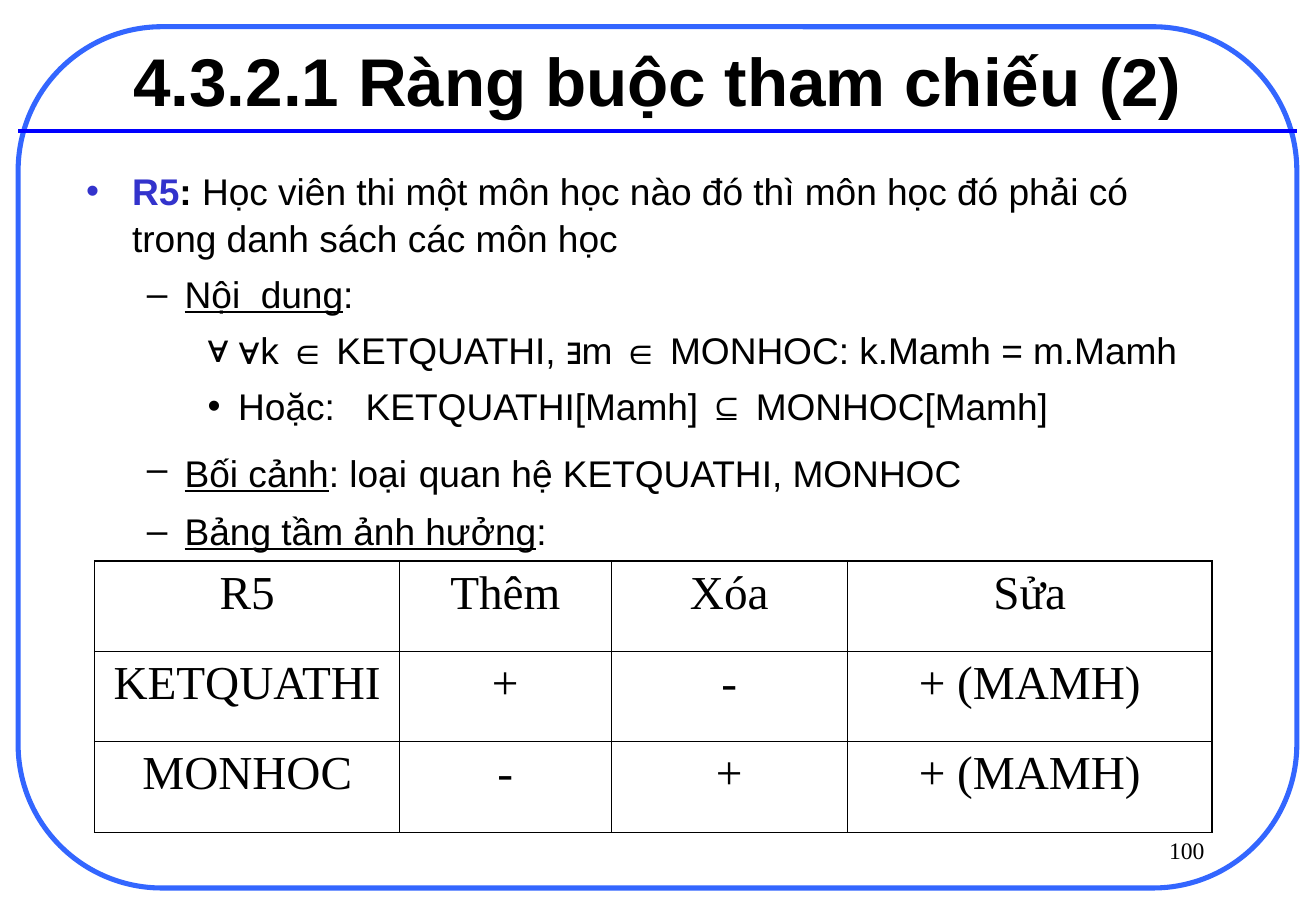
from dataclasses import dataclass

from lxml import etree
from pptx import Presentation
from pptx.dml.color import RGBColor
from pptx.enum.shapes import MSO_CONNECTOR, MSO_SHAPE
from pptx.enum.text import MSO_ANCHOR, MSO_AUTO_SIZE, PP_ALIGN
from pptx.oxml.ns import qn
from pptx.util import Cm, Pt

CENTER, RIGHT, LEFT = PP_ALIGN.CENTER, PP_ALIGN.RIGHT, PP_ALIGN.LEFT
TOP, MIDDLE = MSO_ANCHOR.TOP, MSO_ANCHOR.MIDDLE
NO_AUTOFIT = MSO_AUTO_SIZE.NONE
ROUNDED, STRAIGHT = MSO_SHAPE.ROUNDED_RECTANGLE, MSO_CONNECTOR.STRAIGHT


@dataclass(frozen=True)
class Theme:
    ink: str = "000000"
    accent: str = "3333CC"
    frame: str = "3366FF"
    rule: str = "0000FF"
    sans: str = "Arial"
    serif: str = "Times New Roman"
    title_size: float = 40
    body_size: float = 22
    table_size: float = 28
    number_size: float = 14
    outer_border: float = 1.08
    inner_border: float = 0.45


THEME = Theme()


@dataclass(frozen=True)
class Run:
    text: str
    bold: bool = False
    underline: bool = False
    color: str = THEME.ink
    font: str = THEME.sans
    size: float = THEME.body_size


@dataclass(frozen=True)
class Item:
    level: int
    bullet: str
    runs: tuple[Run, ...]
    bullet_color: str = THEME.ink


# Left margin and hanging indent of each list level, in centimetres
INDENTS = ((0.96, 0.96), (2.06, 0.79), (3.18, 0.64))

ITEMS = (
    Item(0, "•", (
        Run("R5", bold=True, color=THEME.accent),
        Run(": ", bold=True),
        Run("Học viên thi một môn học nào đó thì môn học đó phải có trong danh sách các môn học"),
    ), THEME.accent),
    Item(1, "–", (Run("Nội  dung", underline=True), Run(":"))),
    Item(2, "∀", (Run("∀k ∈ KETQUATHI, ∃m ∈ MONHOC: k.Mamh = m.Mamh"),)),
    Item(2, "•", (Run("Hoặc:   KETQUATHI[Mamh] ⊆ MONHOC[Mamh]"),)),
    Item(1, "–", (
        Run("Bối cảnh", underline=True),
        Run(": loại"),
        Run(" ", font=THEME.serif, size=THEME.table_size),
        Run("quan hệ KETQUATHI, MONHOC"),
    )),
    Item(1, "–", (Run("Bảng tầm ảnh hưởng", underline=True), Run(":"))),
)

COLUMN_WIDTHS = (6.38, 4.42, 4.95, 7.62)
ROW_HEIGHTS = (1.88, 1.9, 1.9)
EFFECTS = (
    ("R5", "Thêm", "Xóa", "Sửa"),
    ("KETQUATHI", "+", "-", "+ (MAMH)"),
    ("MONHOC", "-", "+", "+ (MAMH)"),
)


def write_text(paragraph, text: str, *, size: float, font: str, color: str = THEME.ink,
               bold: bool = False, underline: bool = False, align=None) -> None:
    run = paragraph.add_run()
    run.text = text
    run.font.size = Pt(size)
    run.font.name = font
    run.font.bold = bold
    run.font.underline = underline
    run.font.color.rgb = RGBColor.from_string(color)
    if align is not None:
        paragraph.alignment = align


def place(shape, left: float, top: float, width: float, height: float) -> None:
    shape.left, shape.top = Cm(left), Cm(top)
    shape.width, shape.height = Cm(width), Cm(height)


def prepare_frame(shape, anchor):
    frame = shape.text_frame
    frame.word_wrap = True
    frame.auto_size = NO_AUTOFIT
    frame.vertical_anchor = anchor
    return frame


def set_line(line, color: str, width: float) -> None:
    line.color.rgb = RGBColor.from_string(color)
    line.width = Pt(width)


def add_backdrop(slide) -> None:
    """Draw the rounded frame and title rule behind the placeholders."""
    frame = slide.shapes.add_shape(ROUNDED, Cm(0.38), Cm(0.56), Cm(26.75), Cm(18.01))
    frame.adjustments[0] = 0.167
    frame.shadow.inherit = False
    frame.fill.background()
    set_line(frame.line, THEME.frame, 3)

    rule = slide.shapes.add_connector(STRAIGHT, Cm(0.38), Cm(2.74), Cm(27.13), Cm(2.74))
    set_line(rule.line, THEME.rule, 2.25)
    etree.SubElement(rule._element.spPr, qn("a:effectLst"))

    tree = slide.shapes._spTree
    for position, shape in enumerate((frame, rule), start=2):
        tree.insert(position, shape._element)


def set_bullet(paragraph, item: Item) -> None:
    margin, hanging = INDENTS[item.level]
    properties = paragraph._p.get_or_add_pPr()
    properties.set("marL", str(Cm(margin)))
    properties.set("indent", str(-Cm(hanging)))
    color = etree.SubElement(properties, qn("a:buClr"))
    etree.SubElement(color, qn("a:srgbClr"), val=item.bullet_color)
    etree.SubElement(properties, qn("a:buFont"), typeface=THEME.sans)
    etree.SubElement(properties, qn("a:buChar"), char=item.bullet)


def fill_body(body) -> None:
    frame = prepare_frame(body, TOP)
    for index, item in enumerate(ITEMS):
        paragraph = frame.add_paragraph() if index else frame.paragraphs[0]
        paragraph.level = item.level
        set_bullet(paragraph, item)
        paragraph.alignment = LEFT
        paragraph.line_spacing = 1.05
        paragraph.space_before = Pt(5.5 if index else 0)
        for run in item.runs:
            write_text(paragraph, run.text, size=run.size, font=run.font, color=run.color,
                       bold=run.bold, underline=run.underline)


def set_borders(cell, outer_sides: dict[str, bool]) -> None:
    properties = cell._tc.get_or_add_tcPr()
    for side, is_outer in outer_sides.items():
        width = THEME.outer_border if is_outer else THEME.inner_border
        border = etree.SubElement(properties, qn(f"a:ln{side}"), w=str(Pt(width)))
        fill = etree.SubElement(border, qn("a:solidFill"))
        etree.SubElement(fill, qn("a:srgbClr"), val=THEME.ink)


def add_effect_table(slide) -> None:
    last_row, last_column = len(ROW_HEIGHTS) - 1, len(COLUMN_WIDTHS) - 1
    table = slide.shapes.add_table(
        len(ROW_HEIGHTS), len(COLUMN_WIDTHS), Cm(1.98), Cm(11.73),
        Cm(sum(COLUMN_WIDTHS)), Cm(sum(ROW_HEIGHTS))).table
    table.first_row = table.horz_banding = False
    for column, width in zip(table.columns, COLUMN_WIDTHS):
        column.width = Cm(width)
    for row, height in zip(table.rows, ROW_HEIGHTS):
        row.height = Cm(height)
    for r, labels in enumerate(EFFECTS):
        for c, label in enumerate(labels):
            cell = table.cell(r, c)
            set_borders(cell, {"L": c == 0, "R": c == last_column,
                               "T": r == 0, "B": r == last_row})
            cell.fill.background()
            write_text(cell.text_frame.paragraphs[0], label, size=THEME.table_size,
                       font=THEME.serif, align=CENTER)


def main() -> None:
    presentation = Presentation()
    presentation.slide_width, presentation.slide_height = Cm(27.53), Cm(19.05)
    slide = presentation.slides.add_slide(presentation.slide_layouts[1])
    add_backdrop(slide)

    title, body = slide.placeholders
    place(title, 2.06, 0.41, 23.39, 2.49)
    write_text(prepare_frame(title, MIDDLE).paragraphs[0], "4.3.2.1 Ràng buộc tham chiếu (2)",
               size=THEME.title_size, font=THEME.sans, bold=True, align=CENTER)
    place(body, 1.55, 3.35, 23.39, 9.27)
    fill_body(body)

    number = slide.shapes.add_textbox(Cm(19.71), Cm(17.35), Cm(5.74), Cm(1.27))
    write_text(prepare_frame(number, TOP).paragraphs[0], "100",
               size=THEME.number_size, font=THEME.serif, align=RIGHT)
    add_effect_table(slide)
    presentation.save("out.pptx")


if __name__ == "__main__":
    main()
